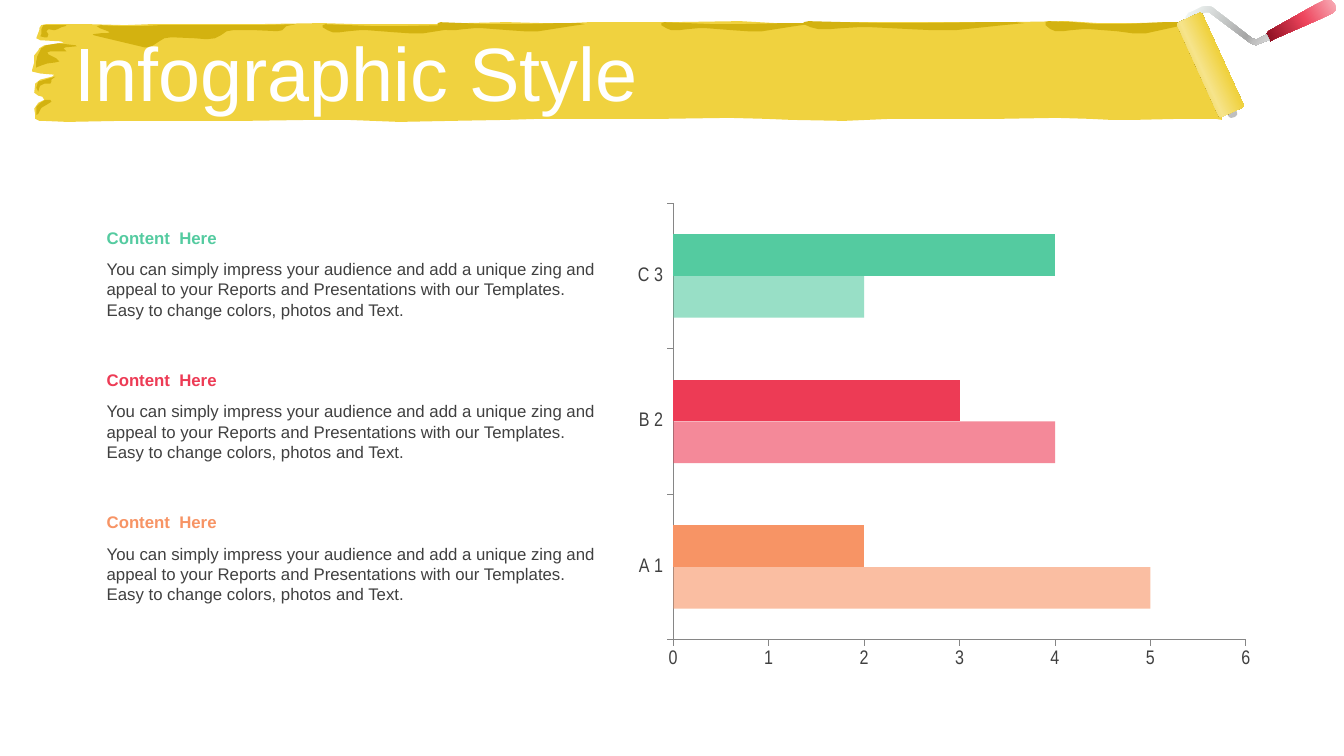
from lxml.etree import SubElement
from pptx import Presentation
from pptx.chart.data import CategoryChartData
from pptx.dml.color import RGBColor
from pptx.enum.chart import XL_CHART_TYPE, XL_TICK_MARK
from pptx.enum.shapes import MSO_SHAPE
from pptx.enum.text import MSO_ANCHOR, MSO_AUTO_SIZE, PP_ALIGN
from pptx.oxml.ns import qn
from pptx.util import Pt

PX = 9144  # EMU in one px, 100 px to the inch

WHITE = RGBColor(0xFF, 0xFF, 0xFF)
INK = RGBColor(0x40, 0x40, 0x40)
AXIS = RGBColor(0x86, 0x86, 0x86)
GREEN = RGBColor(0x54, 0xCB, 0xA0)
RED = RGBColor(0xED, 0x3B, 0x55)
ORANGE = RGBColor(0xF7, 0x94, 0x65)
YELLOW = RGBColor(0xF0, 0xD2, 0x3F)
GOLD = RGBColor(0xD3, 0xB2, 0x10)
BROWN = RGBColor(0x8D, 0x77, 0x0B)
CREAM = RGBColor(0xF6, 0xE4, 0x8C)
PINK = RGBColor(0xF8, 0xB1, 0xBB)
ROSE = RGBColor(0xEE, 0x45, 0x5D)
WINE = RGBColor(0x88, 0x0C, 0x1E)
MIST = RGBColor(0xF6, 0xFC, 0xFA)
STEEL = RGBColor(0xA6, 0xA6, 0xA6)
SILVER = RGBColor(0xBF, 0xBF, 0xBF)
PALE = RGBColor(0xD9, 0xD9, 0xD9)

BODY = ("You can simply impress your audience and add a unique zing and appeal to your "
        "Reports and Presentations with our Templates. Easy to change colors, photos and Text.")

BAND = """734,21 769,23 812,23 833,22 1002,22 1058,21 1089,23 1127,23 1163,22 1172,22 1212,108
1212,119 1206,118 1170,118 1125,119 1102,119 1081,118 1048,117 990,118 931,118 883,118 837,120
785,119 760,118 723,117 656,118 589,118 534,118 502,119 447,120 396,121 370,120 345,119 308,119
242,120 175,120 119,120 67,121 43,120 39,120 35,118 35,114 34,108 38,102 44,99 42,96 38,95 34,92
35,83 40,79 52,76 54,74 52,74 40,73 32,71 32,69 34,62 34,55 38,50 39,48 44,45 59,43 64,42 59,41
40,40 36,38 39,30 39,28 41,25 46,24 87,24 124,25 150,24 255,24 319,23 354,24 397,24 440,24 461,23
502,22 538,23 565,23 585,22 670,22"""
SHADES = (
    """293,24 284,26 282,28 280,30 275,31 254,30 231,30 225,31 219,35 213,38 205,39 193,38 170,37
    163,38 158,41 152,45 148,47 143,47 139,46 97,36 93,35 92,34 100,33 106,33 109,32 107,31 99,28
    96,26 100,25 120,26 140,26 158,25 213,25 260,25""",
    """36,67 36,61 37,56 39,52 41,48 46,45 58,43 75,45 76,46 65,47 63,48 66,51 63,51 50,51 47,52
    48,54 56,58 59,61 55,62 47,63 41,65""",
    """44,37 40,36 41,34 41,29 43,25 49,25 62,25 66,25 65,26 61,27 57,29 54,30 48,29 46,31 48,34
    47,37""",
    "36,114 36,106 40,102 45,99 50,99 51,101 46,104 41,107 38,113",
    "38,91 36,87 38,81 55,76 51,79 51,81 50,83 44,83 40,85 39,87",
)
DAB = """146,2 132,4 100,9 86,9 71,8 45,6 36,6 25,7 17,8 10,8 5,6 0,3 0,1 3,0 28,1 52,2 77,2
118,1 141,1"""
DABS = ((320, 24, 1, 1), (434, 22, 1, 1), (656, 22, 1, 1), (797, 21, 1.5, 0.95), (1037, 21, 1, 1.3))
GRIP = """1258,31 1304,5 1314,0 1318,-1 1320,0 1324,4 1325,8 1325,10 1322,13 1309,19 1263,39
1260,41 1259,40 1256,34"""
WIRE = """1256,34 1259,40 1255,41 1250,43 1246,45 1243,44 1239,42 1203,15 1199,12 1196,12 1191,14
1182,18 1176,21 1176,17 1179,13 1184,11 1192,7 1197,6 1202,7 1242,38 1245,39 1247,39 1251,37"""
PIN = "1217,113 1226,109 1227,112 1227,114 1225,116 1221,117 1219,116"


def write(frame, text, size=12, color=INK, bold=False, lead=None):
    frame.word_wrap = True
    para = frame.paragraphs[0]
    para.alignment = PP_ALIGN.LEFT
    if lead:
        para.line_spacing = lead
    run = para.add_run()
    run.text = text
    font = run.font
    font.name, font.size, font.bold = "Arial", Pt(size), bold
    font.color.rgb = color


def place(shape, *box):
    shape.left, shape.top, shape.width, shape.height = (PX * side for side in box)


def paint(shape, tint, angle=0):
    """Fill with one colour, or with (percent, colour) stops at a clockwise angle."""
    shape.shadow.inherit = False
    shape.line.fill.background()
    if isinstance(tint, RGBColor):
        shape.fill.solid()
        shape.fill.fore_color.rgb = tint
        return
    shape.fill.gradient()
    shape.fill.gradient_angle = (360 - angle) % 360
    stops = shape._element.spPr.find(qn("a:gradFill")).find(qn("a:gsLst"))
    for stop in list(stops):
        stops.remove(stop)
    for pos, color in tint:
        stop = SubElement(stops, qn("a:gs"), pos=str(pos * 1000))
        SubElement(stop, qn("a:srgbClr"), val=str(color))


def trace(text):
    return [tuple(int(part) for part in pair.split(",")) for pair in text.split()]


def blot(slide, dots, tint, angle=0):
    """Draw a closed outline through the dots."""
    pen = slide.shapes.build_freeform(*dots[0], scale=PX)
    pen.add_line_segments(dots[1:], close=True)
    paint(pen.convert_to_shape(), tint, angle)


def add_brush(slide):
    blot(slide, trace(BAND), YELLOW)
    for shade in SHADES:
        blot(slide, trace(shade), GOLD)
    for left, top, wide, high in DABS:
        blot(slide, [(round(left + x * wide), round(top + y * high)) for x, y in trace(DAB)], GOLD)
    blot(slide, trace(GRIP), ((0, PINK), (46, ROSE), (100, WINE)), 150)
    blot(slide, trace(WIRE), ((0, MIST), (74, STEEL), (83, SILVER), (100, PALE)), 30)
    blot(slide, trace(PIN), SILVER)
    drum = slide.shapes.add_shape(MSO_SHAPE.ROUNDED_RECTANGLE, 0, 0, 0, 0)
    place(drum, 1149, 51, 103, 27)
    drum.adjustments[0] = 0.09
    drum.rotation = 245.5
    drum._element.spPr.find(qn("a:xfrm")).set("flipH", "1")
    paint(drum, ((0, BROWN), (11, GOLD), (23, YELLOW), (41, CREAM), (62, YELLOW),
                 (84, GOLD), (100, BROWN)), 90)


def add_title(slide, text):
    title = slide.shapes.title
    place(title, 64, 37, 1178, 79)
    frame = title.text_frame
    frame.auto_size = MSO_AUTO_SIZE.NONE
    frame.vertical_anchor = MSO_ANCHOR.MIDDLE
    write(frame, text, size=54, color=WHITE, lead=0.9)
    slide.shapes._spTree.append(title._element)  # bring to the front


def add_note(slide, top, color):
    for drop, high, text, form in ((0, 30, "Content  Here", {"color": color, "bold": True}),
                                   (31, 71, BODY, {})):
        box = slide.shapes.add_textbox(0, 0, 0, 0)
        place(box, 96, top + drop, 516, high)
        write(box.text_frame, text, **form)


def add_bars(slide, hues):
    data = CategoryChartData()
    data.categories = ["A 1", "B 2", "C 3"]
    data.add_series("Series 1", (5, 4, 2))
    data.add_series("Series 2", (2, 3, 4))
    box = (PX * side for side in (620, 192, 633, 481))
    chart = slide.shapes.add_chart(XL_CHART_TYPE.BAR_CLUSTERED, *box, data).chart
    chart.has_legend = chart.has_title = False
    chart.font.name, chart.font.size = "Arial", Pt(18)
    plot = chart.plots[0]
    plot.gap_width, plot.overlap, plot.vary_by_categories = 150, 0, False
    for axis in (chart.category_axis, chart.value_axis):
        axis.has_major_gridlines = False
        axis.major_tick_mark = XL_TICK_MARK.OUTSIDE
        axis.format.line.color.rgb = AXIS
        font = axis.tick_labels.font
        font.name, font.size, font.color.rgb = "Arial Narrow", Pt(14), INK
    chart.value_axis.minimum_scale, chart.value_axis.maximum_scale = 0, 6
    chart.value_axis.major_unit = 1
    for row, alpha in zip(plot.series, (60, 100)):
        row.invert_if_negative = False
        for spot, hue in enumerate(hues):
            fill = row.points[spot].format.fill
            fill.solid()
            fill.fore_color.rgb = hue
        for tone in row._element.iter(qn("a:srgbClr")):
            SubElement(tone, qn("a:alpha"), val=str(alpha * 1000))


def main():
    deck = Presentation()
    deck.slide_width, deck.slide_height = 1333 * PX, 750 * PX
    slide = deck.slides.add_slide(deck.slide_layouts[5])
    add_brush(slide)
    add_title(slide, "Infographic Style")
    hues = (GREEN, RED, ORANGE)
    for row, hue in enumerate(hues):
        add_note(slide, 221 + 141 * row, hue)
    add_bars(slide, hues[::-1])
    deck.save("out.pptx")


if __name__ == "__main__":
    main()
